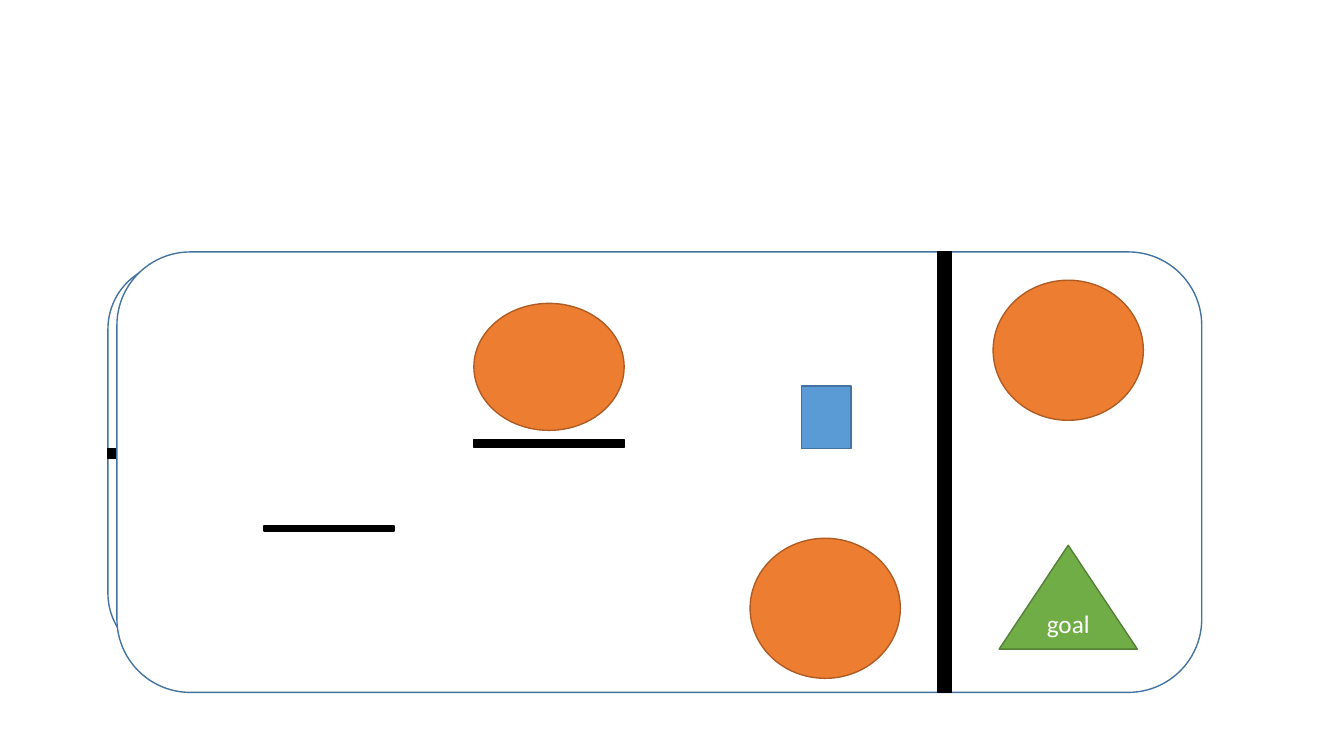
from pptx import Presentation
from pptx.dml.color import RGBColor
from pptx.enum.shapes import MSO_SHAPE
from pptx.enum.text import MSO_ANCHOR, PP_ALIGN
from pptx.util import Inches, Pt

RECTANGLE = MSO_SHAPE.RECTANGLE
ROUNDED = MSO_SHAPE.ROUNDED_RECTANGLE
OVAL = MSO_SHAPE.OVAL
TRIANGLE = MSO_SHAPE.ISOSCELES_TRIANGLE
MIDDLE = MSO_ANCHOR.MIDDLE
CENTER = PP_ALIGN.CENTER
BLANK_LAYOUT = 6

WHITE, BLACK = "FFFFFF", "000000"
BLUE, BLUE_EDGE = "5B9BD5", "43739E"
ORANGE, ORANGE_EDGE = "ED7D31", "AF5C24"
GREEN, GREEN_EDGE = "70AD47", "538035"


def color(value):
    return RGBColor.from_string(value)


def write(shape, text, font="Calibri", size=18, ink=WHITE):
    frame = shape.text_frame
    frame.word_wrap = True
    frame.vertical_anchor = MIDDLE
    para = frame.paragraphs[0]
    para.alignment = CENTER
    span = para.add_run()
    span.text = text
    span.font.name = font
    span.font.size = Pt(size)
    span.font.color.rgb = color(ink)


class Course:
    """Draws the course; all lengths are percent of the slide's size."""

    def __init__(self, deck):
        self.column = deck.slide_width / 100
        self.row = deck.slide_height / 100
        self.page = deck.slides.add_slide(deck.slide_layouts[BLANK_LAYOUT])

    def shape(self, kind, left, top, width, height, fill, edge):
        shape = self.page.shapes.add_shape(
            kind, round(left * self.column), round(top * self.row),
            round(width * self.column), round(height * self.row))
        shape.shadow.inherit = False
        shape.fill.solid()
        shape.fill.fore_color.rgb = color(fill)
        shape.line.color.rgb = color(edge)
        shape.line.width = Pt(1)
        return shape

    def panel(self, *place):
        return self.shape(ROUNDED, *place, WHITE, BLUE_EDGE)

    def wall(self, *place):
        return self.shape(RECTANGLE, *place, BLACK, BLACK)

    def ball(self, left, top, height=18.53):
        return self.shape(OVAL, left, top, BALL_WIDTH, height,
                          ORANGE, ORANGE_EDGE)

    def block(self, *place):
        return self.shape(RECTANGLE, *place, BLUE, BLUE_EDGE)

    def goal(self, *place):
        write(self.shape(TRIANGLE, *place, GREEN, GREEN_EDGE), "goal")


BALL_WIDTH = 11.18
LEDGE_LEFT = 35.26
FIELD_TOP, FIELD_HEIGHT = 33.33, 58.27

deck = Presentation()
deck.slide_width, deck.slide_height = Inches(13.33), Inches(7.5)
course = Course(deck)

# Rear panel and its bar, showing at the left edge
course.panel(8.03, 34.8, 78.17, 52.4)
course.wall(8.03, 59.33, 35.18, 1.33)

# Front field with its walls
course.panel(8.7, FIELD_TOP, 80.72, FIELD_HEIGHT)
course.wall(19.65, 69.6, 9.68, 0.67)
course.wall(69.77, FIELD_TOP, 1.05, FIELD_HEIGHT)
course.wall(LEDGE_LEFT, 58.13, BALL_WIDTH, 1.07)

# Goal, balls and block
course.goal(74.34, 72.13, 10.28, 13.73)
course.ball(LEDGE_LEFT, 40.13, height=16.8)
course.ball(55.81, 71.2)
course.ball(73.89, 37.07)
course.block(59.64, 51.07, 3.68, 8.27)

deck.save("out.pptx")
